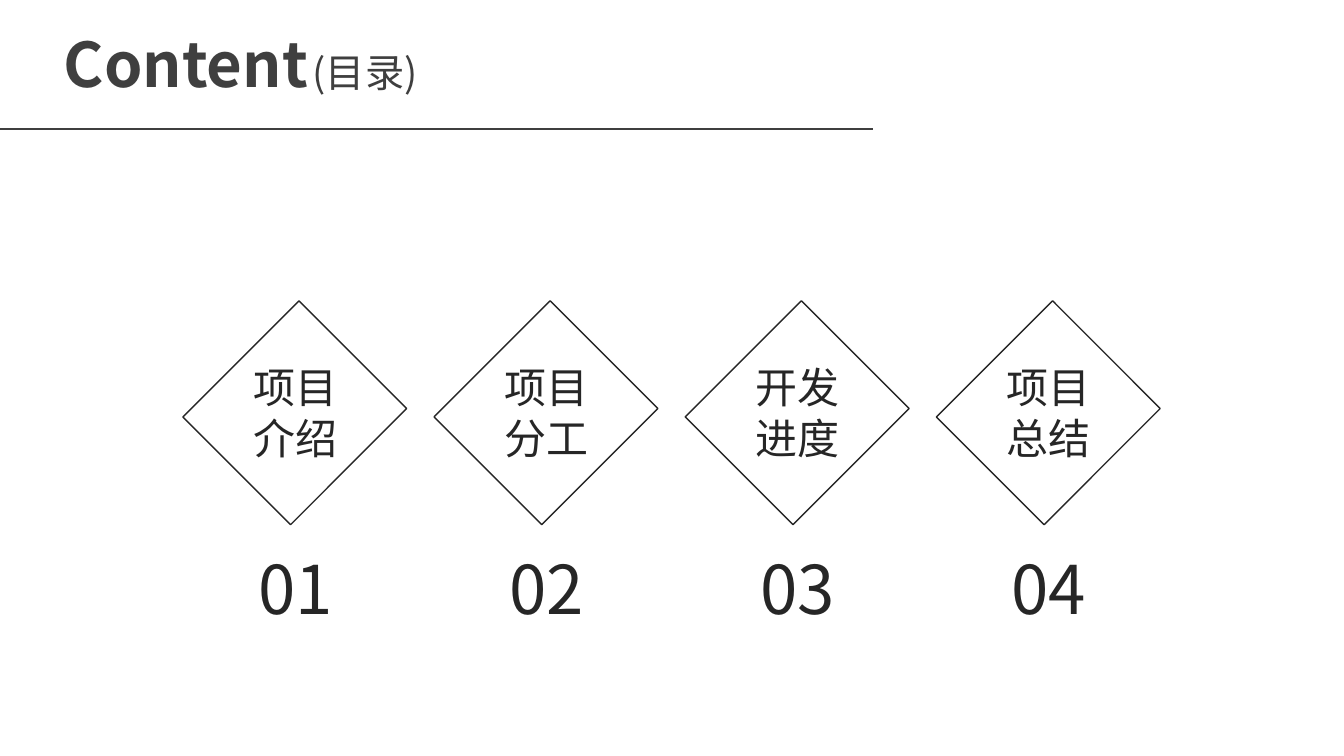
"""Build the contents slide with four numbered diamonds."""
from dataclasses import dataclass

from lxml import etree
from pptx import Presentation, util as u
from pptx.dml.color import RGBColor
from pptx.enum import shapes, text
from pptx.oxml.ns import qn


@dataclass(frozen=True)
class Theme:
    """Colours, font and type sizes of the slide."""
    font: str = "Noto Sans CJK SC"
    heading: RGBColor = RGBColor(0x3F, 0x3F, 0x3F)
    ink: RGBColor = RGBColor(0x26, 0x26, 0x26)
    title_size: int = 44
    gap_size: int = 14
    subtitle_size: int = 28
    label_size: int = 30
    number_size: int = 48


def add_text(paragraph, content, *, font, size, color, bold=False):
    """Append a formatted run to a paragraph."""
    run = paragraph.add_run()
    run.text = content
    run.font.name = font
    run.font.size = u.Pt(size)
    run.font.bold = bold
    run.font.color.rgb = color
    east_asian = etree.SubElement(run.font._element, qn("a:ea"))
    east_asian.set("typeface", font)


class SlideBuilder:
    """Draws elements on one slide in one theme."""

    def __init__(self, slide, theme):
        """Keep the current slide and its theme."""
        self.slide = slide
        self.theme = theme

    def title(self, parts, left, top, width, height):
        """Fill the title placeholder with (text, size, bold) parts."""
        shape = self.slide.shapes.title
        shape.left, shape.top, shape.width, shape.height = map(u.Cm, (left, top, width, height))
        frame = shape.text_frame
        frame.auto_size = text.MSO_AUTO_SIZE.NONE
        frame.vertical_anchor = text.MSO_ANCHOR.MIDDLE
        paragraph = frame.paragraphs[0]
        paragraph.alignment = text.PP_ALIGN.LEFT
        paragraph.line_spacing = 0.9
        for content, size, bold in parts:
            add_text(paragraph, content, font=self.theme.font, size=size,
                     color=self.theme.heading, bold=bold)

    def rule(self, left, top, right):
        """Draw a horizontal line."""
        line = self.slide.shapes.add_connector(
            shapes.MSO_CONNECTOR.STRAIGHT, u.Cm(left), u.Cm(top), u.Cm(right), u.Cm(top))
        line.line.color.rgb = self.theme.heading
        line.line.width = u.Pt(1.25)
        etree.SubElement(line._element.spPr, qn("a:effectLst"))

    def diamond(self, left, top, width, height):
        """Draw an outlined rectangle turned onto its corner."""
        shape = self.slide.shapes.add_shape(
            shapes.MSO_SHAPE.RECTANGLE, *map(u.Cm, (left, top, width, height)))
        shape.rotation = 315
        shape.shadow.inherit = False
        shape.fill.background()
        shape.line.color.rgb = self.theme.ink
        shape.line.width = u.Pt(1)

    def label(self, lines, size, left, top, width, height):
        """Add centred lines of text."""
        box = self.slide.shapes.add_textbox(*map(u.Cm, (left, top, width, height)))
        frame = box.text_frame
        frame.word_wrap = True
        frame.auto_size = text.MSO_AUTO_SIZE.SHAPE_TO_FIT_TEXT
        for index, content in enumerate(lines):
            paragraph = frame.add_paragraph() if index else frame.paragraphs[0]
            paragraph.alignment = text.PP_ALIGN.CENTER
            add_text(paragraph, content, font=self.theme.font, size=size, color=self.theme.ink)


def main():
    """Create and save the presentation."""
    presentation = Presentation()
    presentation.slide_width, presentation.slide_height = u.Cm(33.87), u.Cm(19.05)
    theme = Theme()
    builder = SlideBuilder(presentation.slides.add_slide(presentation.slide_layouts[5]), theme)

    builder.rule(0, 3.26, 22)
    builder.title([("Content", theme.title_size, True),
                   (" ", theme.gap_size, True),
                   ("(目录)", theme.subtitle_size, False)], 1.35, 0.81, 27.2, 1.8)

    chapters = [("项目", "介绍"), ("项目", "分工"), ("开发", "进度"), ("项目", "总结")]
    pitch = 6.33
    for index, lines in enumerate(chapters):
        offset = index * pitch
        builder.diamond(5.36 + offset, 8.48, 4.14, 3.84)
        builder.label(lines, theme.label_size, 5.58 + offset, 8.99, 3.73, 2.82)
        builder.label([f"{index + 1:02d}"], theme.number_size, 5.58 + offset, 13.67, 3.73, 2.31)

    presentation.save("out.pptx")


if __name__ == "__main__":
    main()
